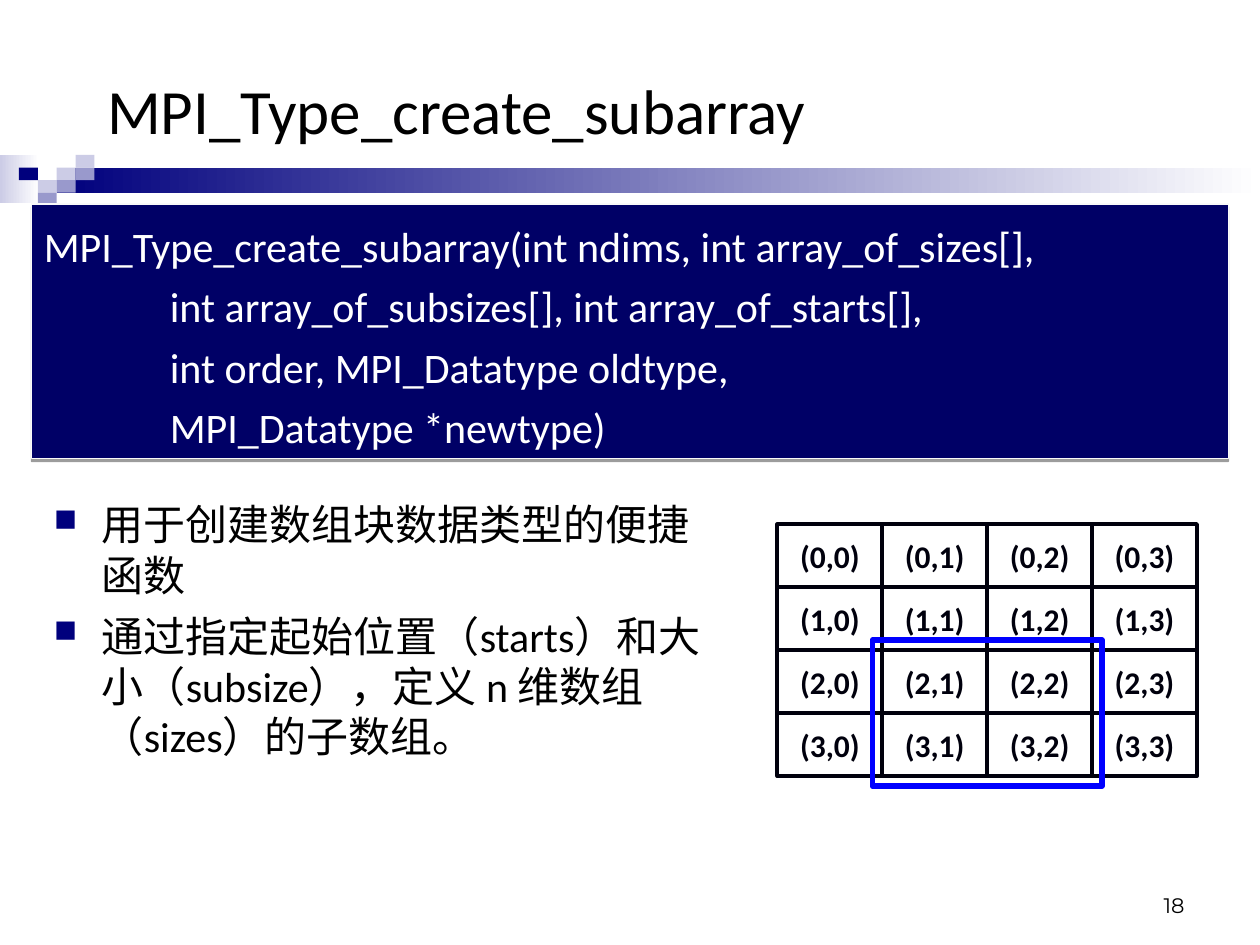
from lxml import etree
from pptx import Presentation
from pptx.dml.color import RGBColor
from pptx.enum.shapes import MSO_SHAPE
from pptx.enum.text import MSO_ANCHOR, PP_ALIGN
from pptx.oxml.ns import qn
from pptx.util import Inches, Pt

RECTANGLE = MSO_SHAPE.RECTANGLE
TOP, MIDDLE, BOTTOM = MSO_ANCHOR.TOP, MSO_ANCHOR.MIDDLE, MSO_ANCHOR.BOTTOM
LEFT, CENTER, RIGHT = PP_ALIGN.LEFT, PP_ALIGN.CENTER, PP_ALIGN.RIGHT

BLACK = RGBColor(0x00, 0x00, 0x00)
WHITE = RGBColor(0xFF, 0xFF, 0xFF)
NAVY = RGBColor(0x00, 0x00, 0x7D)
LAVENDER = RGBColor(0xCC, 0xCC, 0xE6)
PERIWINKLE = RGBColor(0x99, 0x99, 0xCC)
CODE_FILL = RGBColor(0x00, 0x00, 0x66)
CODE_LINE = RGBColor(0xF9, 0xF9, 0xF9)
INK = RGBColor(0x00, 0x00, 0x0D)
BLUE = RGBColor(0x00, 0x00, 0xFF)

SIGNATURE = [
    "MPI_Type_create_subarray(int ndims, int array_of_sizes[],",
    "\t\tint array_of_subsizes[], int array_of_starts[],",
    "\t\tint order, MPI_Datatype oldtype,",
    "\t\tMPI_Datatype *newtype)",
]
BULLETS = [
    "用于创建数组块数据类型的便捷函数",
    "通过指定起始位置（starts）和大小（subsize），定义 n 维数组（sizes）的子数组。",
]


def add_rectangle(slide, left, top, width, height, fill=None, line=None, line_width=1):
    """Add a rectangle with an optional solid fill and outline."""
    shape = slide.shapes.add_shape(
        RECTANGLE, Inches(left), Inches(top), Inches(width), Inches(height))
    shape.shadow.inherit = False
    if fill is None:
        shape.fill.background()
    else:
        shape.fill.solid()
        shape.fill.fore_color.rgb = fill
    if line is None:
        shape.line.fill.background()
    else:
        shape.line.color.rgb = line
        shape.line.width = Pt(line_width)
    return shape


def write_text(shape, lines, size, color, font="Calibri", align=LEFT, anchor=TOP, bold=False):
    """Write one paragraph per line and format the runs."""
    frame = shape.text_frame
    frame.word_wrap = True
    frame.vertical_anchor = anchor
    frame.text = "\n".join(lines)
    for paragraph in frame.paragraphs:
        paragraph.alignment = align
        for run in paragraph.runs:
            run.font.name = font
            run.font.size = Pt(size)
            run.font.bold = bold
            run.font.color.rgb = color


def add_text_box(slide, left, top, width, height):
    """Add an empty text box."""
    return slide.shapes.add_textbox(Inches(left), Inches(top), Inches(width), Inches(height))


def add_banner(slide, left, top):
    """Draw the fading bar and its small mosaic of squares."""
    bars = [(0, 0, 0.31, 0.38, LAVENDER), (0.45, 0.1, 9.55, 0.2, NAVY)]
    for x, y, width, height, color in bars:
        bar = add_rectangle(slide, left + x, top + y, width, height, color)
        bar.fill.gradient()
        bar.fill.gradient_angle = 0
        for stop, stop_color, position in zip(bar.fill.gradient_stops, (color, WHITE), (0, 1)):
            stop.color.rgb = stop_color
            stop.position = position
    tiles = [(3, 1, LAVENDER), (4, 0, LAVENDER), (4, 1, PERIWINKLE), (2, 2, LAVENDER),
             (1, 1, NAVY), (3, 2, PERIWINKLE), (2, 3, PERIWINKLE)]
    for column, row, color in tiles:
        add_rectangle(slide, left + column * 0.15, top + row * 0.1, 0.15, 0.1, color)


def add_title(slide, left, top, width, height):
    """Place and format the title placeholder."""
    title = slide.shapes.title
    title.left, title.top = Inches(left), Inches(top)
    title.width, title.height = Inches(width), Inches(height)
    write_text(title, ["MPI_Type_create_subarray"], 36, BLACK, anchor=MIDDLE)


def add_bullets(slide, left, top, width, height):
    """Write the explanation as square-bulleted paragraphs."""
    box = add_text_box(slide, left, top, width, height)
    write_text(box, BULLETS, 24, BLACK)
    for index, paragraph in enumerate(box.text_frame.paragraphs):
        if index:
            paragraph.space_before = Pt(6)
        properties = paragraph._p.get_or_add_pPr()
        properties.set("marL", str(Inches(0.38)))
        properties.set("indent", str(-Inches(0.38)))
        bullet_color = etree.SubElement(properties, qn("a:buClr"))
        etree.SubElement(bullet_color, qn("a:srgbClr"), val=str(NAVY))
        etree.SubElement(properties, qn("a:buSzPct"), val="75000")
        etree.SubElement(properties, qn("a:buChar"), char="■")


def add_signature(slide, left, top, width, height):
    """Show the function signature on a dark panel with a soft shadow."""
    panel = add_rectangle(slide, left, top, width, height, CODE_FILL, CODE_LINE, 0.75)
    write_text(panel, SIGNATURE, 24, WHITE)
    for paragraph in panel.text_frame.paragraphs:
        paragraph.line_spacing = 1.2
    effects = panel._element.spPr.find(qn("a:effectLst"))
    shadow = etree.SubElement(effects, qn("a:outerShdw"), blurRad="0", dist=str(Pt(1.6)),
                              dir="5400000", rotWithShape="0")
    shadow_color = etree.SubElement(shadow, qn("a:srgbClr"), val=str(BLACK))
    etree.SubElement(shadow_color, qn("a:alpha"), val="38000")


def add_array_grid(slide, left, top, width, height, count=4):
    """Draw the indexed array and frame the 2 by 2 subarray starting at (2,1)."""
    cell_width, cell_height = width / count, height / count
    for row in range(count):
        for column in range(count):
            cell = add_rectangle(slide, left + column * cell_width, top + row * cell_height,
                                 cell_width, cell_height, line=INK, line_width=2.25)
            write_text(cell, [f"({row},{column})"], 18, INK,
                       align=CENTER, anchor=MIDDLE, bold=True)
    margin = 0.08
    add_rectangle(slide, left + cell_width - margin, top + 2 * cell_height - margin,
                  2 * (cell_width + margin), 2 * (cell_height + margin),
                  line=BLUE, line_width=3)


def add_slide_number(slide, left, top, width, height):
    """Write the slide number."""
    box = add_text_box(slide, left, top, width, height)
    write_text(box, ["18"], 12, BLACK, "Montserrat", RIGHT, BOTTOM)


def main():
    """Build and save the slide."""
    presentation = Presentation()
    presentation.slide_width, presentation.slide_height = Inches(10), Inches(7.5)
    slide = presentation.slides.add_slide(presentation.slide_layouts[5])
    add_banner(slide, 0, 1.23)
    add_title(slide, 0.75, 0.42, 8.42, 0.89)
    add_bullets(slide, 0.33, 3.91, 5.5, 2.25)
    add_signature(slide, 0.25, 1.62, 9.5, 2.02)
    add_slide_number(slide, 7.17, 6.83, 2.33, 0.5)
    add_array_grid(slide, 6.17, 4.16, 3.33, 2)
    presentation.save("out.pptx")


if __name__ == "__main__":
    main()
